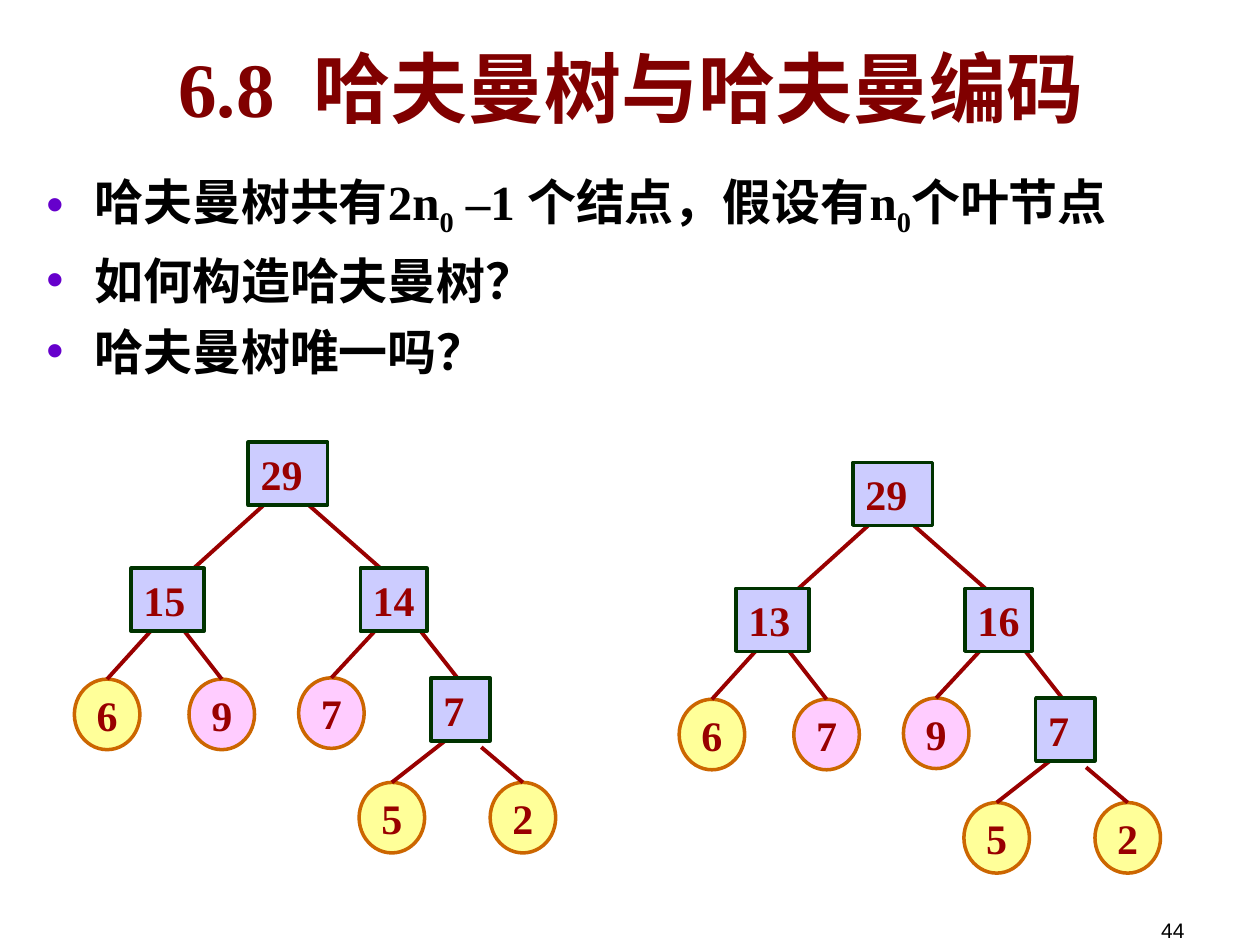
from lxml import etree
from pptx import Presentation, util as u
from pptx.dml.color import RGBColor
from pptx.enum import shapes, text
from pptx.oxml.ns import qn

PX = 9144  # 100 px to the inch
HUES = dict(ink="000000", title="800000", dot="6600CC", num="990000",
            box="CCCCFF", edge="003300", ring="CC6600",
            gold="FFFF99", pink="FFCCFF")
SERIF = "Times New Roman"
MID, TOP, LOW = (text.MSO_ANCHOR.MIDDLE, text.MSO_ANCHOR.TOP,
                 text.MSO_ANCHOR.BOTTOM)
LEFT, MIDST, RIGHT = (text.PP_ALIGN.LEFT, text.PP_ALIGN.CENTER,
                      text.PP_ALIGN.RIGHT)


def px(*vals):
    return [u.Emu(v * PX) for v in vals]


def hue(key):
    return RGBColor.from_string(HUES[key])


def style(obj, form):
    for key, val in form.items():
        setattr(obj, key, val)


def write(para, words, size, tone, face=SERIF, bold=True):
    run = para.add_run()
    run.text = words
    style(run.font, dict(size=u.Pt(size), name=face, bold=bold))
    run.font.color.rgb = hue(tone)
    return run


def frame(shape, anchor=TOP, align=LEFT, wrap=True):
    body = shape.text_frame
    style(body, dict(word_wrap=wrap, vertical_anchor=anchor))
    body.paragraphs[0].alignment = align
    return body


def label(slide, box, words, size, tone, anchor, align, **kind):
    body = frame(slide.shapes.add_textbox(*px(*box)), anchor, align)
    write(body.paragraphs[0], words, size, tone, **kind)


def bullet(para):
    style(para, dict(space_before=u.Pt(7)))
    prop = para._p.get_or_add_pPr()
    prop.set("marL", str(38 * PX))
    prop.set("indent", str(-38 * PX))
    tint = etree.SubElement(prop, qn("a:buClr"))
    etree.SubElement(tint, qn("a:srgbClr"), val=HUES["dot"])
    etree.SubElement(prop, qn("a:buFont"), typeface="Arial")
    etree.SubElement(prop, qn("a:buChar"), char="•")


def points(slide, box, lines):
    body = frame(slide.shapes.add_textbox(*px(*box)))
    for i, parts in enumerate(lines):
        para = body.add_paragraph() if i else body.paragraphs[0]
        bullet(para)
        if not i:
            para.space_before = u.Pt(0)
        # Every second part is a subscript
        for j, words in enumerate(parts):
            run = write(para, words, 28, "ink")
            if j % 2:
                run.font._element.set("baseline", "-25000")


def node(slide, kind, box, words, fill, edge, **form):
    shape = slide.shapes.add_shape(kind, *px(*box))
    shape.shadow.inherit = False
    shape.fill.solid()
    shape.fill.fore_color.rgb = hue(fill)
    shape.line.color.rgb = hue(edge)
    shape.line.width = u.Pt(2)
    write(frame(shape, **form).paragraphs[0], words, 24, "num")


def branch(slide, x1, y1, x2, y2):
    line = slide.shapes.add_connector(shapes.MSO_CONNECTOR.STRAIGHT,
                                      *px(x1, y1, x2, y2))
    line.line.color.rgb = hue("num")
    line.line.width = u.Pt(2.25)
    etree.SubElement(line._element.spPr, qn("a:effectLst"))


# Places within a tree: leaves (x, y), links (from, to), boxes (x, y, width)
LEAVES = [(0, 188, "gold"), (91, 188, "pink"), (178, 187, "pink"),
          (226, 270, "gold"), (330, 270, "gold")]
LINKS = [(298, 234, 252, 270), (323, 242, 356, 270), (243, 145, 204, 187),
         (271, 145, 304, 187), (75, 134, 26, 188), (75, 134, 117, 188),
         (159, 42, 76, 117), (168, 34, 243, 100)]
BOXES = [(138, 0, 63), (45, 100, 58), (227, 100, 53), (283, 187, 47)]


def tree(slide, left, top, leaves, sums):
    for words, (x, y, fill) in zip(leaves, LEAVES):
        node(slide, shapes.MSO_SHAPE.OVAL, (left + x, top + y, 52, 56),
             words, fill, "ring", anchor=MID, align=MIDST, wrap=False)
    for x1, y1, x2, y2 in LINKS:
        branch(slide, left + x1, top + y1, left + x2, top + y2)
    # Boxes go last so that they cover the ends of the links
    for words, (x, y, wide) in zip(sums, BOXES):
        node(slide, shapes.MSO_SHAPE.RECTANGLE,
             (left + x, top + y, wide, 50), words, "box", "edge",
             wrap=wide != 53)


def main():
    deck = Presentation()
    style(deck, dict(slide_width=px(1000)[0], slide_height=px(750)[0]))
    slide = deck.slides.add_slide(deck.slide_layouts[6])

    # Page number, title and bullets
    label(slide, (717, 703, 233, 50), "44", 12, "ink", LOW, RIGHT,
          face="Arial", bold=False)
    label(slide, (51, 13, 900, 112), "6.8  哈夫曼树与哈夫曼编码", 44,
          "title", MID, MIDST)
    points(slide, (27, 131, 945, 567), [
        ["哈夫曼树共有2n", "0", " –1 个结点，假设有n", "0", "个叶节点"],
        ["如何构造哈夫曼树？"],
        ["哈夫曼树唯一吗？"]])

    # Two trees over the same weights
    tree(slide, 539, 367, "67952", ["29", "13", "16", "7"])
    tree(slide, 59, 351, "69752", ["29", "15", "14", "7"])
    deck.save("out.pptx")


if __name__ == "__main__":
    main()
